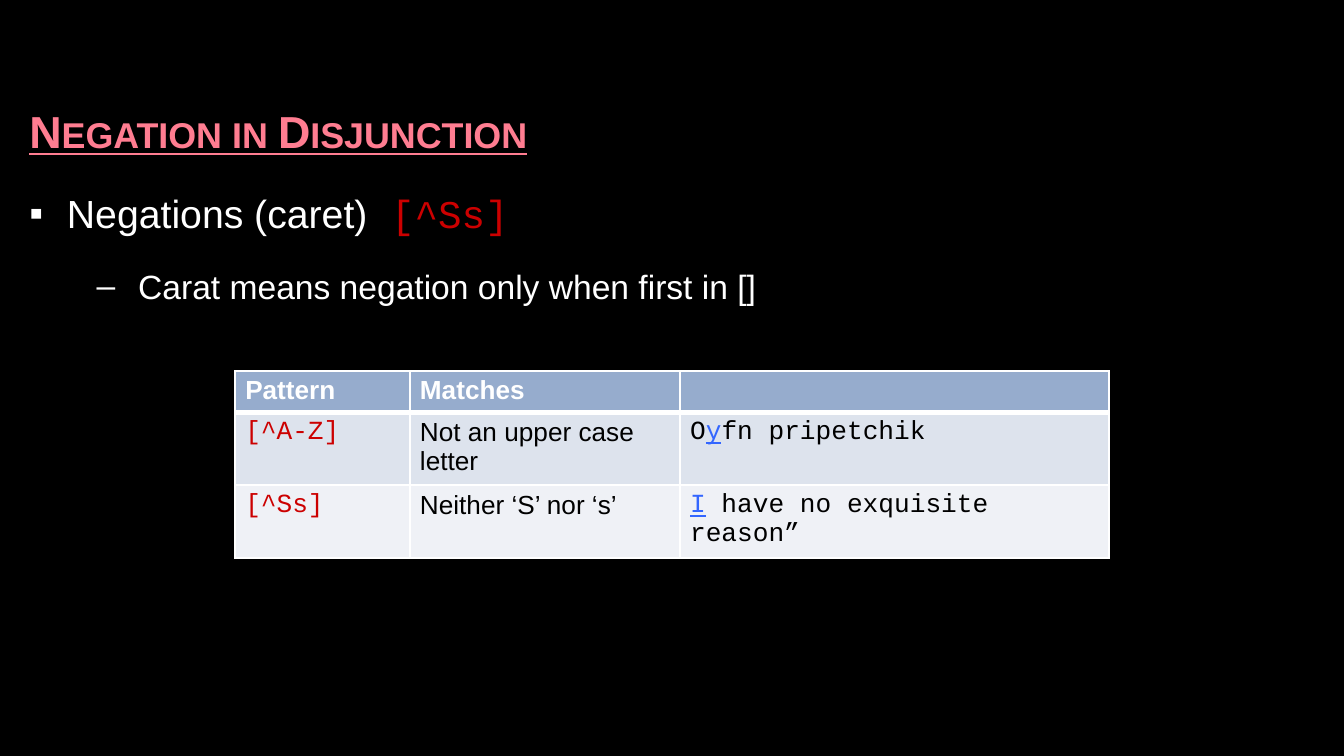
from lxml.etree import SubElement
from pptx import Presentation
from pptx.dml.color import RGBColor
from pptx.enum.text import MSO_ANCHOR
from pptx.oxml.ns import qn
from pptx.util import Inches, Pt

COLORS = {
    "background": "000000",
    "title": "FF7D91",
    "light": "FFFFFF",
    "dark": "000000",
    "pattern": "CC0000",
    "match": "3366FF",
    "header": "96ACCD",
    "odd_row": "DDE3ED",
    "even_row": "EFF1F6",
}
SANS = "Arial"
MONO = "Courier New"


def color(name):
    return RGBColor.from_string(COLORS[name])


def style_font(font, size=None, name=None, fill=None, bold=None, underline=None):
    if size:
        font.size = Pt(size)
    if name:
        font.name = name
    if fill:
        font.color.rgb = color(fill)
    if bold is not None:
        font.bold = bold
    if underline is not None:
        font.underline = underline


def add_run(paragraph, text, **style):
    run = paragraph.add_run()
    run.text = text
    style_font(run.font, **style)
    return run


def add_text_frame(slide, left, top, width, height):
    box = slide.shapes.add_textbox(Inches(left), Inches(top), Inches(width), Inches(height))
    box.text_frame.word_wrap = True
    return box.text_frame


def set_bullet(paragraph, character, margin, indent):
    properties = paragraph._p.get_or_add_pPr()
    properties.set("marL", str(Inches(margin)))
    properties.set("indent", str(Inches(-indent)))
    SubElement(properties, qn("a:buFont"), typeface=SANS)
    SubElement(properties, qn("a:buChar"), char=character)


def add_title(slide, left, top, width, height):
    frame = add_text_frame(slide, left, top, width, height)
    frame.vertical_anchor = MSO_ANCHOR.MIDDLE
    paragraph = frame.paragraphs[0]
    style_font(paragraph.font, 24, SANS, "title", True, True)
    run = add_run(paragraph, "Negation in Disjunction")
    run._r.get_or_add_rPr().set("cap", "small")


def add_body(slide, left, top, width, height):
    frame = add_text_frame(slide, left, top, width, height)

    caret = frame.paragraphs[0]
    set_bullet(caret, "▪", 0.28, 0.28)
    caret.space_after = Pt(9)
    style_font(caret.font, size=21)
    add_run(caret, "Negations (caret)", name=SANS, fill="light")
    add_run(caret, " [^Ss]", name=MONO, fill="pattern")

    rule = frame.add_paragraph()
    rule.level = 1
    set_bullet(rule, "–", 0.81, 0.31)
    rule.space_before = Pt(6.8)
    rule.space_after = Pt(4.5)
    style_font(rule.font, 18, SANS, "light")
    add_run(rule, "Carat means negation only when first in []")


def set_borders(cell, top, bottom):
    properties = cell._tc.get_or_add_tcPr()
    for side, width in (("L", 1), ("R", 1), ("T", top), ("B", bottom)):
        line = SubElement(properties, qn(f"a:ln{side}"), w=str(Pt(width)))
        fill = SubElement(line, qn("a:solidFill"))
        SubElement(fill, qn("a:srgbClr"), val=COLORS["light"])


def add_pattern_table(slide, left, top, width, height):
    header = {"size": 14, "name": SANS, "fill": "light", "bold": True}
    pattern = {"size": 14, "name": MONO, "fill": "pattern"}
    meaning = {"size": 14, "name": SANS, "fill": "dark"}
    example = {"size": 14, "name": MONO, "fill": "dark"}
    match = {"size": 14, "name": MONO, "fill": "match", "underline": True}
    rows = [
        ("header", 0.3, [[("Pattern", header)], [("Matches", header)], []]),
        ("odd_row", 0.53, [
            [("[^A-Z]", pattern)],
            [("Not an upper case letter", meaning)],
            [("O", example), ("y", match), ("fn pripetchik", example)],
        ]),
        ("even_row", 0.51, [
            [("[^Ss]", pattern)],
            [("Neither ‘S’ nor ‘s’", meaning)],
            [("I", match), (" have no exquisite reason”", example)],
        ]),
    ]
    column_widths = [1.3, 2.01, 3.19]
    table = slide.shapes.add_table(
        len(rows), len(column_widths), Inches(left), Inches(top), Inches(width), Inches(height)
    ).table
    for column, column_width in zip(table.columns, column_widths):
        column.width = Inches(column_width)

    for row_index, (fill, row_height, contents) in enumerate(rows):
        table.rows[row_index].height = Inches(row_height)
        for column_index, runs in enumerate(contents):
            cell = table.cell(row_index, column_index)
            set_borders(cell, 3 if row_index == 1 else 1, 3 if row_index == 0 else 1)
            cell.fill.solid()
            cell.fill.fore_color.rgb = color(fill)
            cell.margin_left = cell.margin_right = Pt(5.4)
            cell.margin_top = cell.margin_bottom = Pt(2.7)
            paragraph = cell.text_frame.paragraphs[0]
            if not runs:
                style_font(paragraph.font, **header)
            for text, style in runs:
                add_run(paragraph, text, **style)


def main():
    presentation = Presentation()
    presentation.slide_width = Inches(10)
    presentation.slide_height = presentation.slide_width * 9 // 16
    slide = presentation.slides.add_slide(presentation.slide_layouts[6])
    slide.background.fill.solid()
    slide.background.fill.fore_color.rgb = color("background")
    add_title(slide, 0.12, 0.77, 8.74, 0.41)
    add_body(slide, 0.12, 1.36, 9.73, 4.61)
    add_pattern_table(slide, 1.75, 2.76, 6.5, 1.34)
    presentation.save("out.pptx")


if __name__ == "__main__":
    main()
